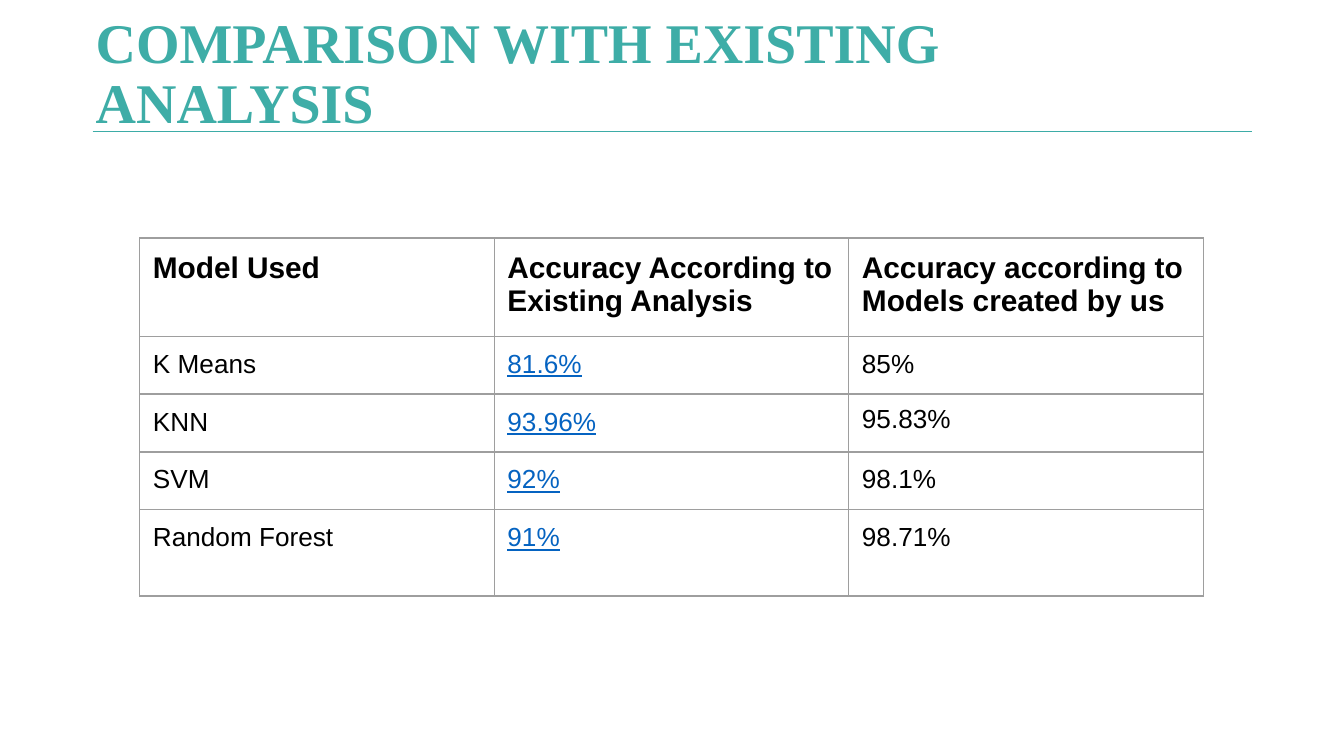
from lxml import etree
from pptx import Presentation
from pptx.dml.color import RGBColor
from pptx.enum.shapes import MSO_CONNECTOR
from pptx.enum.text import MSO_ANCHOR
from pptx.oxml.ns import qn
from pptx.util import Cm, Pt

STRAIGHT = MSO_CONNECTOR.STRAIGHT
MIDDLE = MSO_ANCHOR.MIDDLE

TITLE = "COMPARISON WITH EXISTING ANALYSIS"
ROWS = [
    ("Model Used", "Accuracy According to Existing Analysis",
     "Accuracy according to Models created by us"),
    ("K Means", "81.6%", "85%"),
    ("KNN", "93.96%", "95.83%"),
    ("SVM", "92%", "98.1%"),
    ("Random Forest", "91%", "98.71%"),
]
ROW_HEIGHTS = [1.77, 1.06, 1.06, 1.06, 1.63]
COL_WIDTH = 6.7
TABLE_LEFT, TABLE_TOP = 2.64, 4.5
CELL_MARGIN = 0.25
LINK_COLUMN = 1
TIGHT_CELL = (2, 2)
TEAL, RULE, BLACK, LINK, BORDER = "3EADA7", "3DACA7", "000000", "0563C1", "9E9E9E"


def rgb(color):
    return RGBColor.from_string(color)


def style(r, font, size, color, bold=False, underline=False):
    r.font.name, r.font.size = font, Pt(size)
    r.font.bold, r.font.underline = bold, underline
    r.font.color.rgb = rgb(color)


def set_borders(cell):
    """Draw thin lines on all four sides; called before the fill is set."""
    tcPr = cell._tc.get_or_add_tcPr()
    for side in ("lnL", "lnR", "lnT", "lnB"):
        ln = etree.SubElement(tcPr, qn(f"a:{side}"), w=str(Pt(0.75)))
        fill = etree.SubElement(ln, qn("a:solidFill"))
        etree.SubElement(fill, qn("a:srgbClr"), val=BORDER)


def add_title(s):
    rule = s.shapes.add_connector(STRAIGHT, Cm(1.75), Cm(2.49), Cm(23.67), Cm(2.49))
    rule.line.color.rgb = rgb(RULE)
    rule.line.width = Pt(0.75)
    etree.SubElement(rule._element.spPr, qn("a:effectLst"))

    tf = s.shapes.add_textbox(Cm(1.63), Cm(0.36), Cm(20.93), Cm(2.13)).text_frame
    tf.word_wrap = True
    tf.vertical_anchor = MIDDLE
    tf.margin_left = tf.margin_right = Cm(0.18)
    tf.margin_top = tf.margin_bottom = Cm(0.1)
    tf.text = TITLE
    p = tf.paragraphs[0]
    p.line_spacing = 0.9
    style(p.runs[0], "Times New Roman", 30, TEAL, bold=True)


def add_accuracy_table(s):
    n_cols = len(ROWS[0])
    frame = s.shapes.add_table(len(ROWS), n_cols, Cm(TABLE_LEFT), Cm(TABLE_TOP),
                               Cm(COL_WIDTH * n_cols), Cm(sum(ROW_HEIGHTS)))
    table = frame.table
    table.horz_banding = False
    for column in table.columns:
        column.width = Cm(COL_WIDTH)
    for i, (values, height) in enumerate(zip(ROWS, ROW_HEIGHTS)):
        table.rows[i].height = Cm(height)
        header = i == 0
        for j, value in enumerate(values):
            cell = table.cell(i, j)
            cell.margin_left = cell.margin_right = Cm(CELL_MARGIN)
            cell.margin_top = cell.margin_bottom = Cm(CELL_MARGIN)
            set_borders(cell)
            cell.fill.background()
            cell.text_frame.text = value
            p = cell.text_frame.paragraphs[0]
            if (i, j) == TIGHT_CELL:
                p.line_spacing = 0.9
                p.space_before = Pt(8)
            linked = j == LINK_COLUMN and not header
            style(p.runs[0], "Arial", 16 if header else 14,
                  LINK if linked else BLACK, bold=header, underline=linked)


prs = Presentation()
prs.slide_width, prs.slide_height = Cm(25.4), Cm(14.29)
s = prs.slides.add_slide(prs.slide_layouts[6])
add_title(s)
add_accuracy_table(s)
prs.save("out.pptx")
